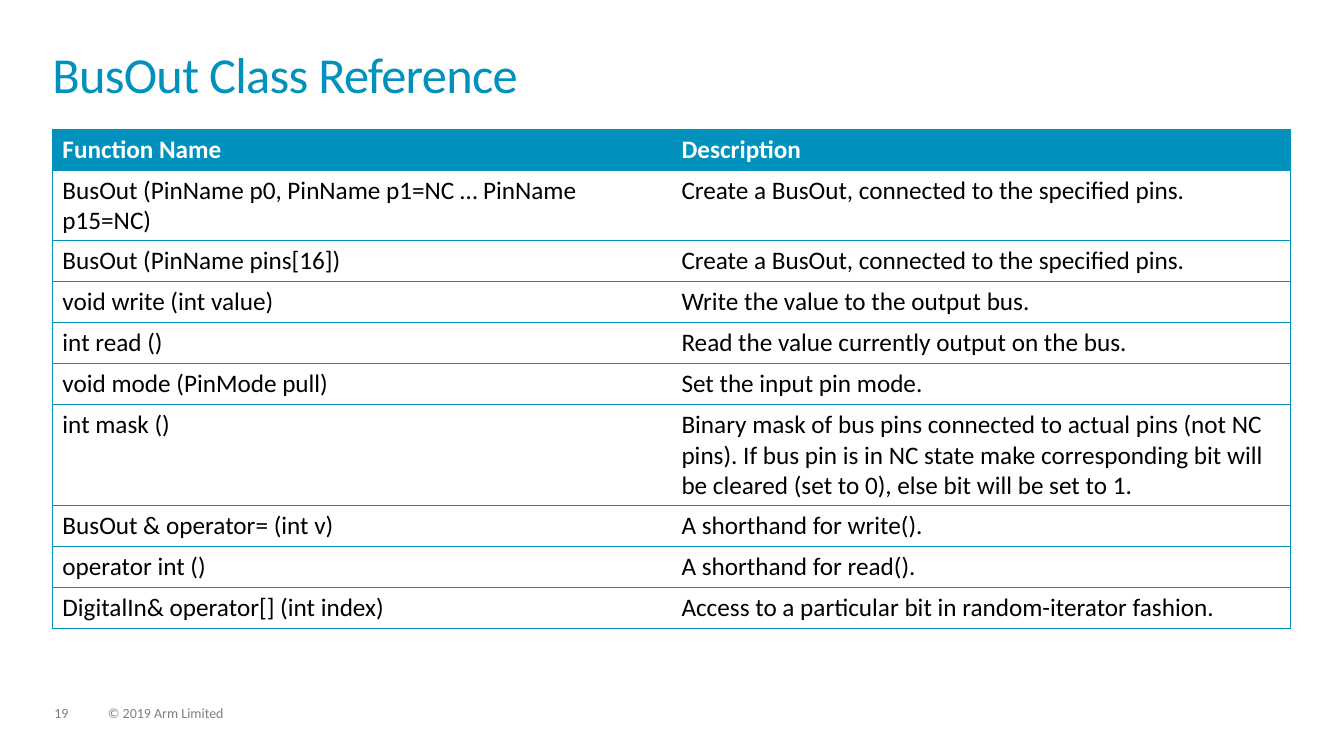
from dataclasses import dataclass

from lxml import etree
from pptx import Presentation
from pptx.dml.color import RGBColor
from pptx.enum.text import MSO_ANCHOR, MSO_AUTO_SIZE, PP_ALIGN
from pptx.oxml.ns import qn
from pptx.util import Inches, Pt

TOP = MSO_ANCHOR.TOP
LEFT = PP_ALIGN.LEFT
NO_FIT = MSO_AUTO_SIZE.NONE
GROW = MSO_AUTO_SIZE.SHAPE_TO_FIT_TEXT
TITLE_ONLY = 5

FUNCTIONS = [
    ("Function Name", "Description"),
    ("BusOut (PinName p0, PinName p1=NC … PinName p15=NC)",
     "Create a BusOut, connected to the specified pins."),
    ("BusOut (PinName pins[16])", "Create a BusOut, connected to the specified pins."),
    ("void write (int value)", "Write the value to the output bus."),
    ("int read ()", "Read the value currently output on the bus."),
    ("void mode (PinMode pull)", "Set the input pin mode."),
    ("int mask ()",
     "Binary mask of bus pins connected to actual pins (not NC pins). If bus pin is in NC "
     "state make corresponding bit will be cleared (set to 0), else bit will be set to 1."),
    ("BusOut & operator= (int v)", "A shorthand for write()."),
    ("operator int ()", "A shorthand for read()."),
    ("DigitalIn& operator[] (int index)",
     "Access to a particular bit in random-iterator fashion."),
]


@dataclass(frozen=True)
class Theme:
    font: str = "Calibri"
    accent: str = "0091BD"
    ink: str = "000000"
    paper: str = "FFFFFF"
    muted: str = "7F7F7F"
    title_size: int = 36
    table_size: int = 18
    footer_size: int = 10
    rule: float = 0.5


class ReferencePage:
    """Draws styled elements on one slide, placed in percent of its size."""

    def __init__(self, deck, theme):
        self.deck = deck
        self.theme = theme
        self.page = deck.slides.add_slide(deck.slide_layouts[TITLE_ONLY])

    def across(self, percent):
        return round(self.deck.slide_width * percent / 100)

    def down(self, percent):
        return round(self.deck.slide_height * percent / 100)

    def area(self, left, top, width, height):
        return self.across(left), self.down(top), self.across(width), self.down(height)

    def add_text(self, frame, text, size, color, bold=False, **layout):
        para = frame.paragraphs[0]
        span = para.add_run()
        span.text = text
        span.font.color.rgb = RGBColor.from_string(color)
        formats = {
            para: {"alignment": LEFT, **layout},
            span.font: {"name": self.theme.font, "size": Pt(size), "bold": bold},
        }
        for target, values in formats.items():
            for name, value in values.items():
                setattr(target, name, value)
        return span

    def fit(self, frame, auto_size):
        values = {"margin_left": 0, "margin_top": 0, "margin_right": 0, "margin_bottom": 0,
                  "word_wrap": True, "vertical_anchor": TOP, "auto_size": auto_size}
        for name, value in values.items():
            setattr(frame, name, value)

    def title(self, text, *place):
        box = self.page.shapes.title
        box.left, box.top, box.width, box.height = self.area(*place)
        self.fit(box.text_frame, NO_FIT)
        span = self.add_text(box.text_frame, text, self.theme.title_size,
                             self.theme.accent, line_spacing=0.85)
        span.font._element.set("spc", "-50")

    def footer(self, text, *place):
        box = self.page.shapes.add_textbox(*self.area(*place))
        self.fit(box.text_frame, GROW)
        self.add_text(box.text_frame, text, self.theme.footer_size, self.theme.muted,
                      line_spacing=0.9, space_after=Pt(6))

    def borders(self, cell, drawn):
        properties = cell._tc.get_or_add_tcPr()
        for position, side in enumerate(("lnL", "lnR", "lnT", "lnB")):
            line = etree.Element(qn(f"a:{side}"), w=str(Pt(self.theme.rule)))
            if side in drawn:
                fill = etree.SubElement(line, qn("a:solidFill"))
                etree.SubElement(fill, qn("a:srgbClr"), val=self.theme.accent)
            else:
                etree.SubElement(line, qn("a:noFill"))
            properties.insert(position, line)

    def table(self, rows, left, top, width, row_height):
        place = self.area(left, top, width, row_height * len(rows))
        grid = self.page.shapes.add_table(len(rows), len(rows[0]), *place).table
        grid.horz_banding = False
        for row_index, texts in enumerate(rows):
            header = row_index == 0
            for column_index, text in enumerate(texts):
                cell = grid.cell(row_index, column_index)
                if header:
                    cell.fill.solid()
                    cell.fill.fore_color.rgb = RGBColor.from_string(self.theme.accent)
                else:
                    cell.fill.background()
                color = self.theme.paper if header else self.theme.ink
                self.add_text(cell.text_frame, text, self.theme.table_size, color, header)
                outer = "lnL" if column_index == 0 else "lnR"
                self.borders(cell, {"lnT", "lnB", outer})


def main():
    deck = Presentation()
    deck.slide_width, deck.slide_height = Inches(13.33), Inches(7.5)
    page = ReferencePage(deck, Theme())
    page.footer("19", 4.05, 93.47, 2.55, 2)
    page.footer("© 2019 Arm Limited", 8.03, 93.47, 38.03, 2)
    page.title("BusOut Class Reference", 3.9, 6.93, 92.12, 9.6)
    page.table(FUNCTIONS, 3.9, 17.07, 92.12, 5.42)
    deck.save("out.pptx")


if __name__ == "__main__":
    main()
